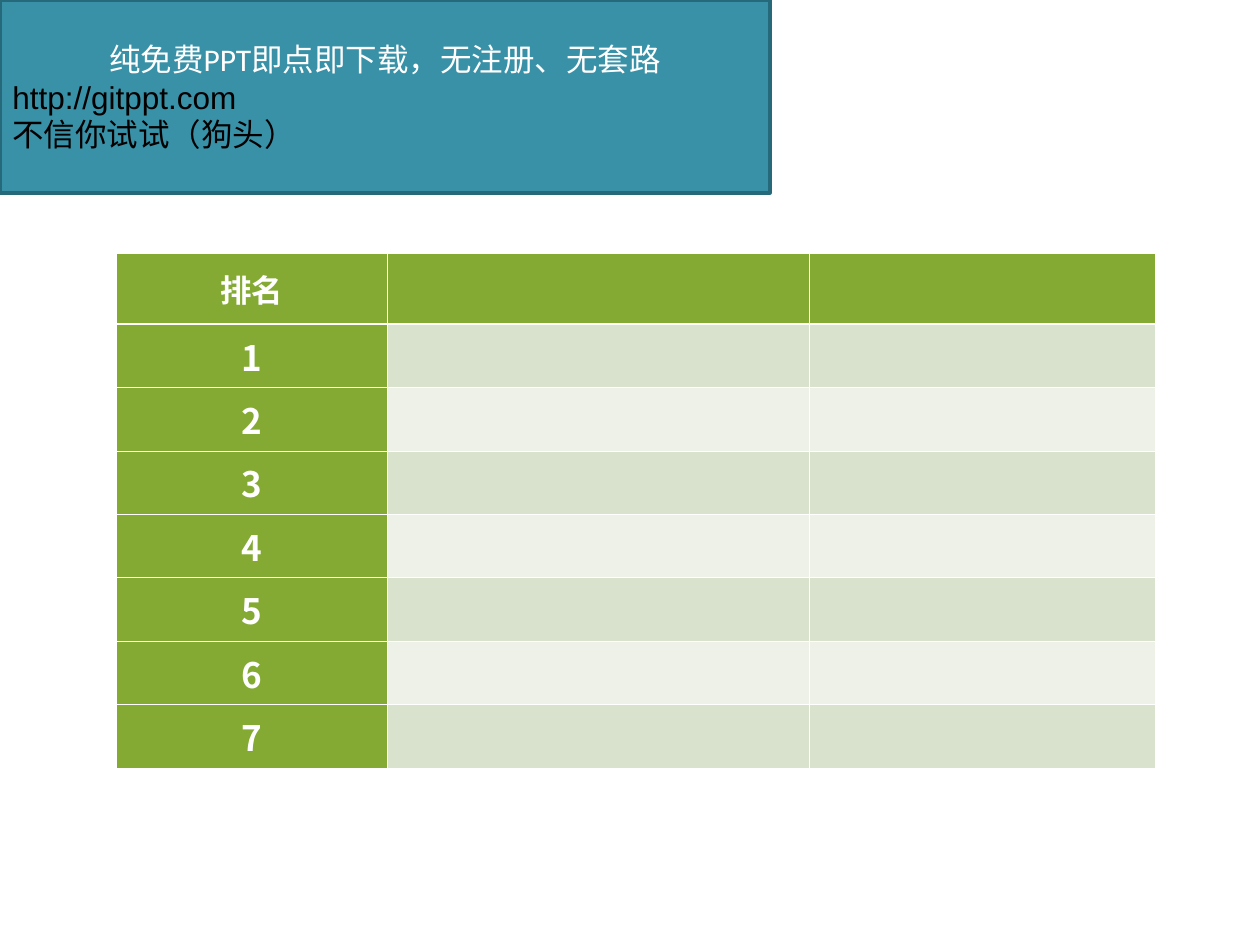
from lxml import etree
from pptx import Presentation
from pptx.dml.color import RGBColor
from pptx.enum.shapes import MSO_SHAPE
from pptx.enum.text import MSO_ANCHOR, PP_ALIGN
from pptx.oxml.ns import qn
from pptx.util import Emu, Pt

RECTANGLE = MSO_SHAPE.RECTANGLE
MIDDLE, BOTTOM = MSO_ANCHOR.MIDDLE, MSO_ANCHOR.BOTTOM
CENTER, LEFT = PP_ALIGN.CENTER, PP_ALIGN.LEFT

WHITE = RGBColor(0xFF, 0xFF, 0xFF)
BLACK = RGBColor(0x00, 0x00, 0x00)
GREEN = RGBColor(0x84, 0xAA, 0x33)
BAND_DARK = RGBColor(0xD9, 0xE2, 0xCD)
BAND_LIGHT = RGBColor(0xED, 0xF1, 0xE8)
TEAL = RGBColor(0x38, 0x91, 0xA7)
TEAL_DARK = RGBColor(0x26, 0x69, 0x7A)

CJK_FONT = "Noto Sans CJK SC"
THIN, THICK = 0.45, 1.47
COLUMN_WIDTHS = [271, 422, 346]
HEADER_HEIGHT, ROW_HEIGHT = 71, 62
RANKS = 7


def px(length):
    return Emu(round(length * 914400 / 126))


def add_span(para, text, font_name, size, color, bold=False):
    span = para.add_run()
    span.text = text
    font = span.font
    font.name = font_name
    font.size = Pt(size)
    font.bold = bold
    font.color.rgb = color
    east_asian = etree.Element(qn("a:ea"), typeface=CJK_FONT)
    span._r.get_or_add_rPr().find(qn("a:latin")).addnext(east_asian)


def add_border(cell, side, width):
    properties = cell._tc.get_or_add_tcPr()
    line = etree.SubElement(properties, qn(f"a:ln{side}"), w=str(Pt(width)))
    fill = etree.SubElement(line, qn("a:solidFill"))
    etree.SubElement(fill, qn("a:srgbClr"), val=str(WHITE))


def style_cell(cell, row, column):
    widths = {
        "L": THIN,
        "R": THIN,
        "T": THICK if row == 1 else THIN,
        "B": THICK if row == 0 else THIN,
    }
    for side, width in widths.items():
        add_border(cell, side, width)
    cell.fill.solid()
    if row == 0 or column == 0:
        cell.fill.fore_color.rgb = GREEN
    else:
        cell.fill.fore_color.rgb = BAND_DARK if row % 2 else BAND_LIGHT


def write_cell(cell, text, size, anchor, side_margin):
    cell.vertical_anchor = anchor
    cell.margin_left = cell.margin_right = px(side_margin)
    para = cell.text_frame.paragraphs[0]
    para.alignment = CENTER
    add_span(para, text, CJK_FONT, size, WHITE, bold=True)


def add_ranking(slide):
    heights = [HEADER_HEIGHT] + [ROW_HEIGHT] * RANKS
    frame = slide.shapes.add_table(
        len(heights), len(COLUMN_WIDTHS), px(116), px(253),
        px(sum(COLUMN_WIDTHS)), px(sum(heights)))
    table = frame.table
    for column, width in zip(table.columns, COLUMN_WIDTHS):
        column.width = px(width)
    for row, height in enumerate(heights):
        table.rows[row].height = px(height)
        for column in range(len(COLUMN_WIDTHS)):
            style_cell(table.cell(row, column), row, column)
    write_cell(table.cell(0, 0), "排名", 18, MIDDLE, 13)
    for rank in range(1, RANKS + 1):
        write_cell(table.cell(rank, 0), str(rank), 20, BOTTOM, 1)


def add_banner(slide):
    box = slide.shapes.add_shape(RECTANGLE, px(0), px(0), px(770), px(193))
    box.shadow.inherit = False
    box.fill.solid()
    box.fill.fore_color.rgb = TEAL
    box.line.color.rgb = TEAL_DARK
    box.line.width = Pt(2)
    frame = box.text_frame
    frame.word_wrap = True
    frame.vertical_anchor = MIDDLE
    lines = [
        ("纯免费PPT即点即下载，无注册、无套路", CENTER, "Calibri", WHITE),
        ("http://gitppt.com", LEFT, "Arial", BLACK),
        ("不信你试试（狗头）", LEFT, "Arial", BLACK),
    ]
    for index, (text, alignment, font_name, color) in enumerate(lines):
        para = frame.add_paragraph() if index else frame.paragraphs[0]
        para.alignment = alignment
        add_span(para, text, font_name, 18, color)


def main():
    deck = Presentation()
    deck.slide_width, deck.slide_height = px(1260), px(945)
    slide = deck.slides.add_slide(deck.slide_layouts[6])
    add_ranking(slide)
    add_banner(slide)
    deck.save("out.pptx")


if __name__ == "__main__":
    main()
